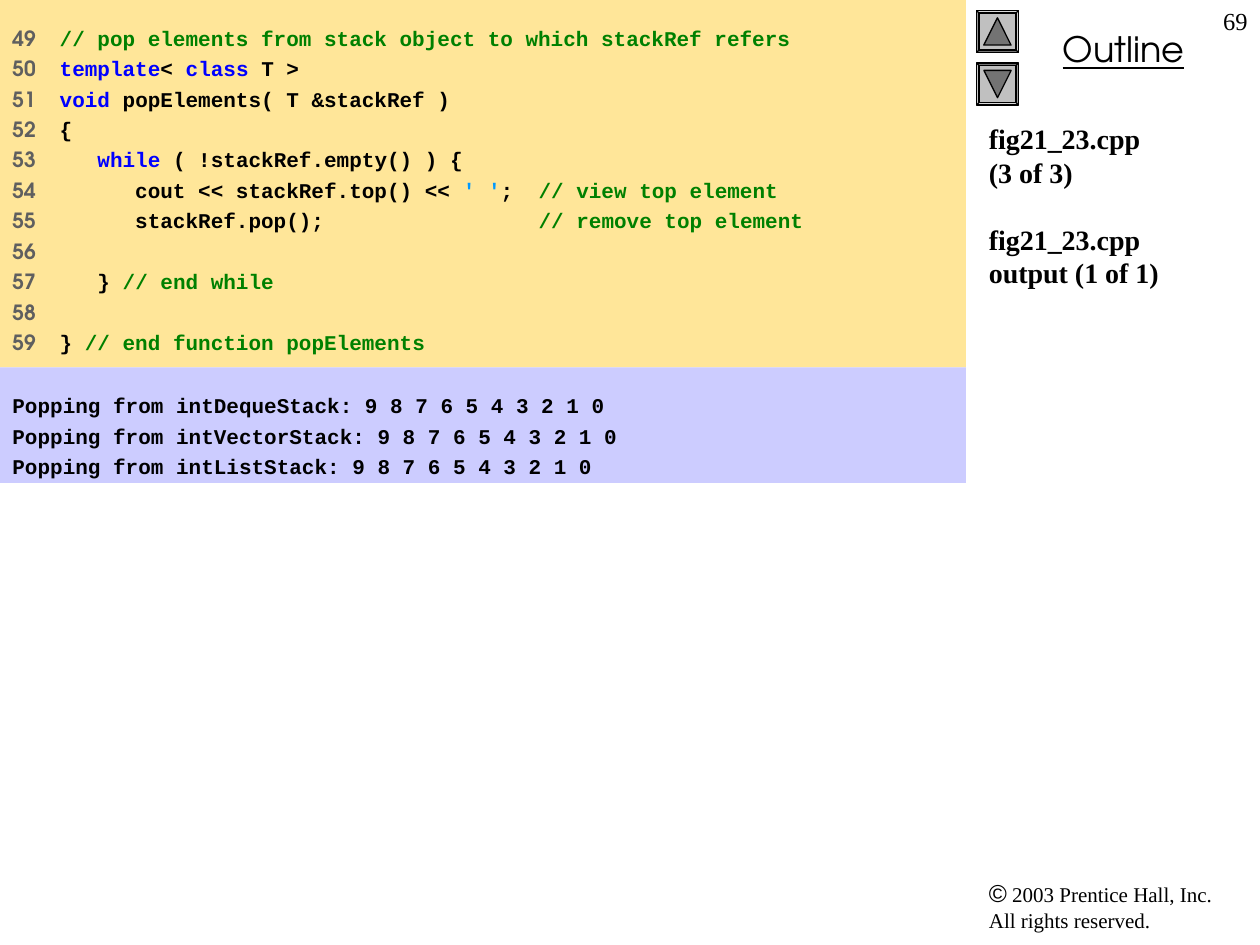
from dataclasses import dataclass

from lxml.etree import SubElement
from pptx import Presentation
from pptx.dml.color import RGBColor
from pptx.enum.shapes import MSO_SHAPE
from pptx.enum.text import MSO_ANCHOR, PP_ALIGN
from pptx.oxml.ns import qn
from pptx.util import Pt

EMU_PER_PX = 7620


@dataclass(frozen=True)
class Theme:
    """Colours, fonts and type sizes of the slide."""
    code_fill: str = "FFE699"
    output_fill: str = "CCCCFF"
    button: str = "C0C0C0"
    arrow: str = "737373"
    ink: str = "000000"
    number: str = "5F5F5F"
    keyword: str = "0000FF"
    comment: str = "008000"
    literal: str = "0099FF"
    mono: str = "Courier New"
    serif: str = "Times New Roman"
    sans: str = "Arial"
    display: str = "TeX Gyre Adventor"
    small: int = 12
    medium: int = 14
    title: int = 16
    heading: int = 20
    line_gap: int = 3


THEME = Theme()

CODE = [
    (49, [("comment", "// pop elements from stack object to which stackRef refers")]),
    (50, [("keyword", "template"), ("ink", "< "), ("keyword", "class"), ("ink", " T >")]),
    (51, [("keyword", "void"), ("ink", " popElements( T &stackRef )")]),
    (52, [("ink", "{")]),
    (53, [("keyword", "   while"), ("ink", " ( !stackRef.empty() ) {")]),
    (54, [("ink", "      cout << stackRef.top() << "), ("literal", "' '"), ("ink", ";  "),
          ("comment", "// view top element")]),
    (55, [("ink", "      stackRef.pop();                 "),
          ("comment", "// remove top element")]),
    (56, []),
    (57, [("ink", "   } "), ("comment", "// end while")]),
    (58, []),
    (59, [("ink", "} "), ("comment", "// end function popElements")]),
]
OUTPUT = [f"Popping from int{kind}Stack: 9 8 7 6 5 4 3 2 1 0"
          for kind in ("Deque", "Vector", "List")]


def px(length):
    """Turn px into EMU."""
    return round(length * EMU_PER_PX)


def style(font, face, size, color=THEME.ink, bold=False):
    """Set the face, size, colour and weight of a font."""
    font.name, font.size, font.bold = face, Pt(size), bold
    font.color.rgb = RGBColor.from_string(color)


def set_frame(shape, inset_y):
    """Prepare a text frame that wraps and starts at the top."""
    frame = shape.text_frame
    frame.word_wrap = True
    frame.vertical_anchor = MSO_ANCHOR.TOP
    frame.margin_left = frame.margin_right = px(12)
    frame.margin_top = frame.margin_bottom = px(inset_y)
    return frame


def add_label(slide, box):
    """Add a text box and return its frame."""
    return set_frame(slide.shapes.add_textbox(*map(px, box)), 6)


def add_paragraph(frame, index, gap):
    """Return the paragraph at index, spaced from the one before."""
    if index == 0:
        return frame.paragraphs[0]
    paragraph = frame.add_paragraph()
    paragraph.space_before = Pt(gap)
    return paragraph


def add_solid(slide, preset, box, fill, outlined=False):
    """Add a preset shape with a flat fill."""
    shape = slide.shapes.add_shape(preset, *map(px, box))
    shape.shadow.inherit = False
    shape.fill.solid()
    shape.fill.fore_color.rgb = RGBColor.from_string(fill)
    if outlined:
        shape.line.color.rgb = RGBColor.from_string(THEME.ink)
        shape.line.width = Pt(0.75)
    else:
        shape.line.fill.background()
    return shape


def add_panel(slide, box, fill):
    """Add a filled panel and return its text frame."""
    return set_frame(add_solid(slide, MSO_SHAPE.RECTANGLE, box, fill), 24)


def add_code(slide, box):
    """Place the numbered, coloured listing."""
    frame = add_panel(slide, box, THEME.code_fill)
    for index, (number, tokens) in enumerate(CODE):
        line = add_paragraph(frame, index, THEME.line_gap)
        line.alignment = PP_ALIGN.LEFT
        tabs = SubElement(line._p.get_or_add_pPr(), qn("a:tabLst"))
        SubElement(tabs, qn("a:tab"), pos=str(px(45)), algn="l")
        label = line.add_run()
        label.text = f"{number}\t" if tokens else str(number)
        style(label.font, THEME.display, THEME.small, THEME.number, True)
        for role, text in tokens:
            token = line.add_run()
            token.text = text
            style(token.font, THEME.mono, THEME.small, getattr(THEME, role), True)


def add_output(slide, box):
    """Place the printed program output."""
    frame = add_panel(slide, box, THEME.output_fill)
    for index, text in enumerate(OUTPUT):
        line = add_paragraph(frame, index, THEME.line_gap)
        line.alignment = PP_ALIGN.LEFT
        line.text = text
        style(line.font, THEME.mono, THEME.small, bold=True)


def add_button(slide, box, bevel_turn, arrow_turn):
    """Place a bevelled button with a triangle in it."""
    left, top, side, _ = box
    bevel = add_solid(slide, MSO_SHAPE.BEVEL, box, THEME.button, True)
    bevel.adjustments[0] = 0.06
    bevel.rotation = bevel_turn
    inset, size = 7, side - 14
    arrow = add_solid(slide, MSO_SHAPE.ISOSCELES_TRIANGLE,
                      (left + inset, top + inset, size, size), THEME.arrow, True)
    arrow.rotation = arrow_turn


def add_sidebar(slide, box):
    """Place the buttons, heading, file names and copyright line."""
    left, top, width, height = box
    add_button(slide, (left, top + 10, 40, 40), 90, 0)
    add_button(slide, (left, top + 60, 40, 40), 270, 180)

    heading = add_label(slide, (left + 10, top + 20, width - 10, 53)).paragraphs[0]
    heading.text = "Outline"
    heading.alignment = PP_ALIGN.CENTER
    style(heading.font, THEME.display, THEME.heading)
    heading.font.underline = True

    files = add_label(slide, (left, top + 110, width, 630))
    for index, text in enumerate(("fig21_23.cpp\v(3 of 3)", "fig21_23.cpp\voutput (1 of 1)")):
        name = add_paragraph(files, index, 19)
        name.text = text
        style(name.font, THEME.serif, THEME.title, bold=True)

    rights = add_label(slide, (left, top + height - 70, width - 10, 65)).paragraphs[0]
    for text, face, size in (("©", THEME.sans, THEME.medium),
                             (" 2003 Prentice Hall, Inc.", THEME.serif, THEME.small),
                             ("All rights reserved.", THEME.serif, THEME.small)):
        if text.startswith("All"):
            rights.add_line_break()
        part = rights.add_run()
        part.text = text
        style(part.font, face, size)


def add_page_number(slide, box):
    """Place the page number."""
    number = add_label(slide, box).paragraphs[0]
    number.text = "69"
    number.alignment = PP_ALIGN.RIGHT
    style(number.font, THEME.serif, THEME.medium)


def main():
    """Build and save the slide."""
    deck = Presentation()
    deck.slide_width, deck.slide_height = px(1200), px(900)
    slide = deck.slides.add_slide(deck.slide_layouts[6])
    add_sidebar(slide, (930, 0, 270, 900))
    add_code(slide, (0, 0, 920, 350))
    add_output(slide, (0, 350, 920, 110))
    add_page_number(slide, (1140, 0, 60, 60))
    deck.save("out.pptx")


if __name__ == "__main__":
    main()
